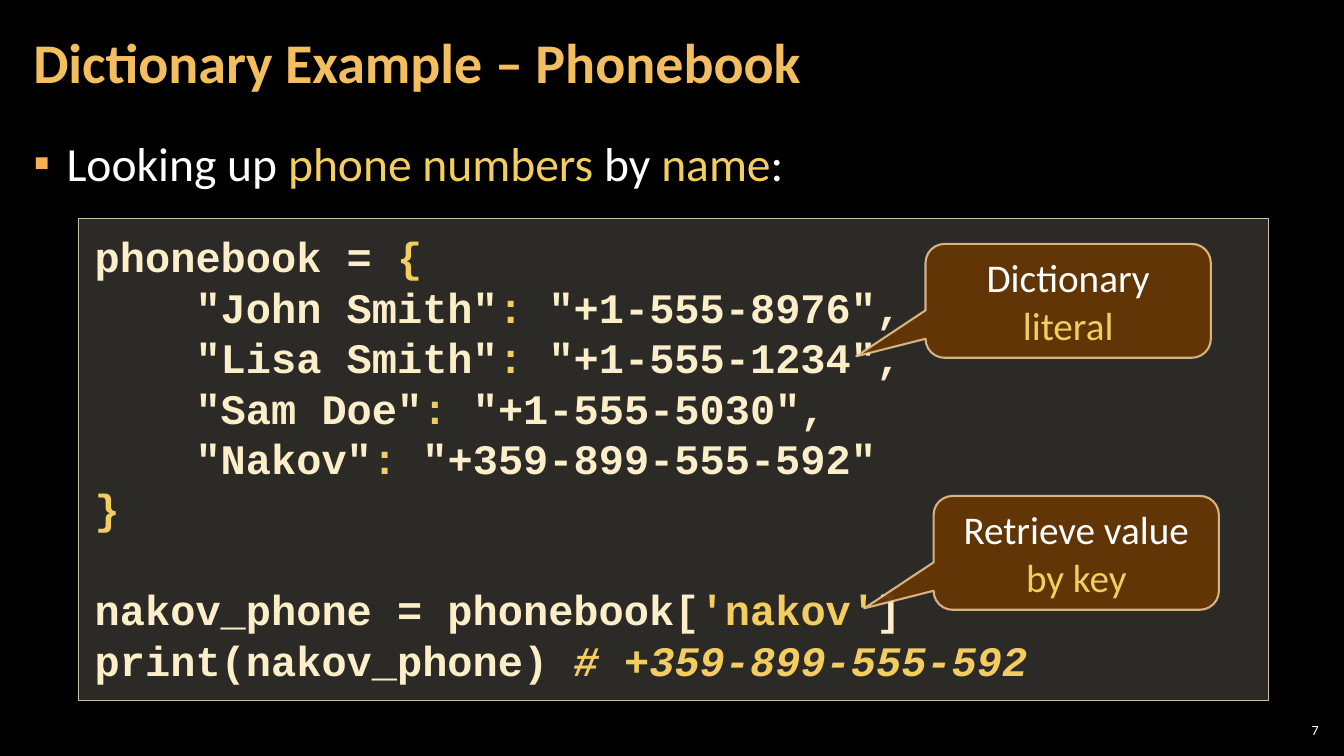
from lxml import etree
from pptx import Presentation
from pptx.dml.color import RGBColor
from pptx.enum.shapes import MSO_SHAPE
from pptx.enum.text import MSO_ANCHOR, MSO_AUTO_SIZE, PP_ALIGN
from pptx.oxml.ns import qn
from pptx.util import Inches, Pt

RECTANGLE = MSO_SHAPE.RECTANGLE
CALLOUT = MSO_SHAPE.ROUNDED_RECTANGULAR_CALLOUT
TOP, MIDDLE = MSO_ANCHOR.TOP, MSO_ANCHOR.MIDDLE
LEFT, CENTER, RIGHT = PP_ALIGN.LEFT, PP_ALIGN.CENTER, PP_ALIGN.RIGHT
NO_AUTOFIT = MSO_AUTO_SIZE.NONE

COLOURS = {
    "background": "000000",
    "title": "F3BE60",
    "text": "FFFFFF",
    "accent": "F3CD60",
    "bullet": "F2B254",
    "code": "FBEEC9",
    "comment": "F3CD60",
    "panel": "D9D5C7",
    "panel line": "C7BFAC",
    "callout": "663606",
    "callout line": "F8D49E",
}

DICTIONARY_CODE = [
    [("phonebook = ", "code"), ("{", "accent")],
    [('    "John Smith"', "code"), (":", "accent"), (' "+1-555-8976",', "code")],
    [('    "Lisa Smith"', "code"), (":", "accent"), (' "+1-555-1234",', "code")],
    [('    "Sam Doe"', "code"), (":", "accent"), (' "+1-555-5030",', "code")],
    [('    "Nakov"', "code"), (":", "accent"), (' "+359-899-555-592"', "code")],
    [("}", "accent")],
]
LOOKUP_CODE = [
    [("nakov_phone = phonebook[", "code"), ("'nakov'", "accent"), ("]", "code")],
    [("print(nakov_phone) ", "code"), ("# +359-899-555-592", "comment")],
]


def rgb(name):
    """Return the named colour."""
    return RGBColor.from_string(COLOURS[name])


def set_opacity(fill_owner, percent):
    """Make the solid fill inside an XML element partly transparent."""
    colour = fill_owner.find(qn("a:solidFill")).find(qn("a:srgbClr"))
    etree.SubElement(colour, qn("a:alpha"), val=str(percent * 1000))


def add_bullet(paragraph, character, colour):
    """Give a paragraph a coloured hanging bullet."""
    properties = paragraph._p.get_or_add_pPr()
    indent = Inches(0.33)
    properties.set("marL", str(indent))
    properties.set("indent", str(-indent))
    bullet_colour = etree.SubElement(properties, qn("a:buClr"))
    etree.SubElement(bullet_colour, qn("a:srgbClr"), val=COLOURS[colour])
    etree.SubElement(properties, qn("a:buFont"), typeface="Arial")
    etree.SubElement(properties, qn("a:buChar"), char=character)


def write(frame, lines, size, font="Calibri", bold=False, align=LEFT, anchor=TOP,
          insets=(0.12, 0.04), spacing=1.0, gap_at=None, gap=0, bullet=None):
    """Fill a text frame with lines of (text, colour) runs."""
    frame.word_wrap = True
    frame.auto_size = NO_AUTOFIT
    frame.vertical_anchor = anchor
    frame.margin_left = frame.margin_right = Inches(insets[0])
    frame.margin_top = frame.margin_bottom = Inches(insets[1])
    for number, runs in enumerate(lines):
        paragraph = frame.add_paragraph() if number else frame.paragraphs[0]
        if bullet:
            add_bullet(paragraph, bullet, "bullet")
        paragraph.alignment = align
        paragraph.line_spacing = spacing
        paragraph.space_before = Pt(gap if number == gap_at else 0)
        for text, colour in runs:
            run = paragraph.add_run()
            run.text = text
            run.font.size = Pt(size)
            run.font.name = font
            run.font.bold = bold
            run.font.italic = colour == "comment"
            run.font.color.rgb = rgb(colour)


def place(shape, left, top, width, height):
    """Move and resize a placeholder."""
    shape.left, shape.top = Inches(left), Inches(top)
    shape.width, shape.height = Inches(width), Inches(height)


def add_panel(slide, kind, box, fill, opacity, line_width):
    """Add an outlined, partly transparent shape."""
    panel = slide.shapes.add_shape(kind, *map(Inches, box))
    panel.shadow.inherit = False
    panel.fill.solid()
    panel.fill.fore_color.rgb = rgb(fill)
    set_opacity(panel._element.spPr, opacity)
    panel.line.color.rgb = rgb(f"{fill} line")
    panel.line.width = Pt(line_width)
    return panel


def add_callout(slide, left, top, lead, highlight):
    """Add a speech callout pointing down and left at the code."""
    callout = add_panel(slide, CALLOUT, (left, top, 2.83, 1.13), "callout", 95, 1.5)
    set_opacity(callout.line._get_or_add_ln(), 80)
    for index, value in enumerate((-0.743, 0.487, 0.167)):
        callout.adjustments[index] = value
    write(callout.text_frame, [[(lead, "text"), (highlight, "accent")]], 28,
          align=CENTER, anchor=MIDDLE, insets=(0.1, 0.05))


def main():
    """Build the phonebook slide."""
    deck = Presentation()
    deck.slide_width, deck.slide_height = Inches(13.33), Inches(7.5)
    slide = deck.slides.add_slide(deck.slide_layouts[1])
    slide.background.fill.solid()
    slide.background.fill.fore_color.rgb = rgb("background")

    title, body = slide.placeholders
    place(title, 0.21, 0.04, 10.47, 1.21)
    write(title.text_frame, [[("Dictionary Example – Phonebook", "title")]], 40,
          bold=True, anchor=MIDDLE, spacing=0.9)
    place(body, 0.21, 1.26, 12.91, 6.09)
    write(body.text_frame, [[("Looking up ", "text"), ("phone numbers", "accent"),
                             (" by ", "text"), ("name", "accent"), (":", "text")]],
          34, spacing=1.05, bullet="▪")

    code = add_panel(slide, RECTANGLE, (0.78, 2.17, 11.8, 4.78), "panel", 20, 1)
    write(code.text_frame, DICTIONARY_CODE + LOOKUP_CODE, 30, font="Courier New",
          bold=True, insets=(0.16, 0.12), gap_at=len(DICTIONARY_CODE), gap=36)

    add_callout(slide, 9.26, 4.92, "Retrieve value ", "by key")
    add_callout(slide, 9.18, 2.42, "Dictionary ", "literal")

    page_number = slide.shapes.add_textbox(*map(Inches, (12.65, 7.14, 0.47, 0.21)))
    write(page_number.text_frame, [[("7", "text")]], 10, align=RIGHT,
          anchor=MIDDLE, insets=(0.04, 0.04))
    deck.save("out.pptx")


if __name__ == "__main__":
    main()
